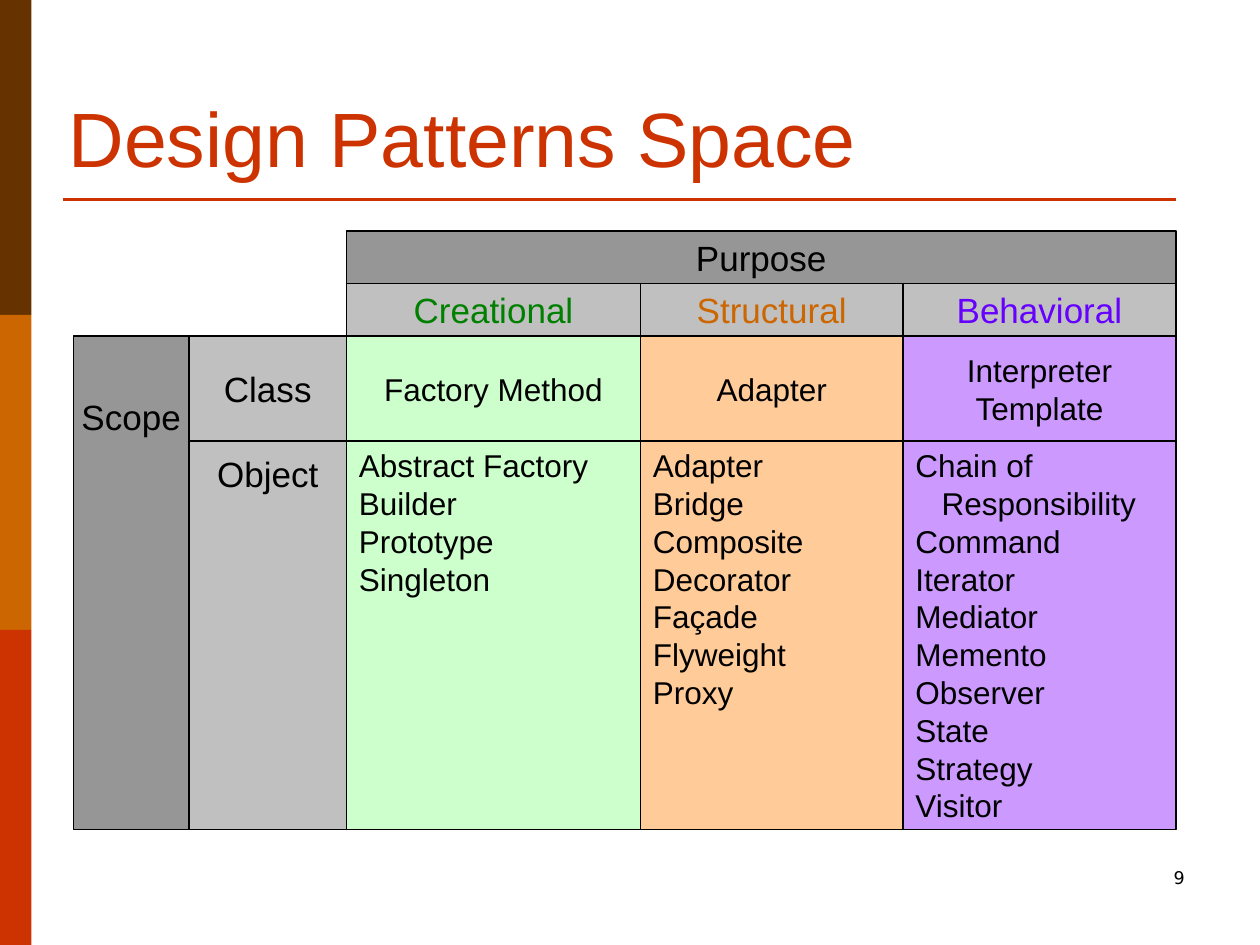
from dataclasses import dataclass
from pptx import Presentation
from pptx.dml.color import RGBColor
from pptx.enum.shapes import MSO_CONNECTOR, MSO_SHAPE
from pptx.enum.text import MSO_ANCHOR, MSO_AUTO_SIZE, PP_ALIGN
from pptx.oxml.ns import qn
from pptx.util import Pt
from lxml.etree import SubElement


@dataclass(frozen=True)
class Theme:
    font: str = "Arial"
    number_font: str = "DejaVu Sans"
    title_size: float = 44
    heading_size: float = 20
    pattern_size: float = 18
    number_size: float = 10
    leading: float = 1.2
    ink: str = "000000"
    brown: str = "663300"
    orange: str = "CC6600"
    red: str = "CC3300"
    dark_gray: str = "969696"
    gray: str = "C0C0C0"
    green: str = "008000"
    violet: str = "6600FF"
    pale_green: str = "CCFFCC"
    pale_orange: str = "FFCC99"
    pale_violet: str = "CC99FF"


class SlideBuilder:
    def __init__(self, slide, theme):
        self.slide = slide
        self.theme = theme

    def set_text(self, frame, lines, size, color, align, font=None):
        frame.text = "\n".join(lines)
        for paragraph in frame.paragraphs:
            paragraph.alignment = align
            paragraph.font.name = font or self.theme.font
            paragraph.font.size = Pt(size)
            paragraph.font.color.rgb = RGBColor.from_string(color)

    def title(self, text, left, top, width, height):
        title = self.slide.shapes.title
        title.left, title.top = Pt(left), Pt(top)
        title.width, title.height = Pt(width), Pt(height)
        frame = title.text_frame
        frame.auto_size = MSO_AUTO_SIZE.NONE
        frame.vertical_anchor = MSO_ANCHOR.BOTTOM
        self.set_text(frame, [text], self.theme.title_size, self.theme.red, PP_ALIGN.LEFT)

    def page_number(self, text, left, top, width, height):
        box = self.slide.shapes.add_textbox(Pt(left), Pt(top), Pt(width), Pt(height))
        box.text_frame.word_wrap = True
        self.set_text(box.text_frame, [text], self.theme.number_size, self.theme.ink,
                      PP_ALIGN.RIGHT, self.theme.number_font)

    def rule(self, left, right, y):
        rule = self.slide.shapes.add_connector(
            MSO_CONNECTOR.STRAIGHT, Pt(left), Pt(y), Pt(right), Pt(y))
        rule.line.color.rgb = RGBColor.from_string(self.theme.red)
        rule.line.width = Pt(1.5)
        SubElement(rule._element.spPr, qn("a:effectLst"))

    def block(self, left, top, right, bottom, fill):
        block = self.slide.shapes.add_shape(
            MSO_SHAPE.RECTANGLE, Pt(left), Pt(top), Pt(right - left), Pt(bottom - top))
        block.shadow.inherit = False
        block.fill.solid()
        block.fill.fore_color.rgb = RGBColor.from_string(fill)
        block.line.fill.background()
        return block

    def cell(self, bounds, fill):
        cell = self.block(*bounds, fill)
        cell.line.color.rgb = RGBColor.from_string(self.theme.ink)
        cell.line.width = Pt(0.75)
        return cell

    def heading(self, bounds, text, fill, color=None, drop=None):
        """Centred label; drop is its distance from the cell's top edge."""
        frame = self.cell(bounds, fill).text_frame
        frame.word_wrap = False
        frame.vertical_anchor = MSO_ANCHOR.MIDDLE
        if drop is not None:
            frame.vertical_anchor = MSO_ANCHOR.TOP
            frame.margin_top = Pt(drop)
        self.set_text(frame, [text], self.theme.heading_size, color or self.theme.ink,
                      PP_ALIGN.CENTER)

    def patterns(self, bounds, names, fill, align, anchor, continued=()):
        """List of pattern names; lines in continued are indented."""
        frame = self.cell(bounds, fill).text_frame
        frame.word_wrap = True
        frame.vertical_anchor = anchor
        frame.margin_top = frame.margin_bottom = Pt(3)
        self.set_text(frame, names, self.theme.pattern_size, self.theme.ink, align)
        for paragraph in frame.paragraphs:
            paragraph.line_spacing = Pt(self.theme.pattern_size * self.theme.leading)
            if paragraph.text in continued:
                paragraph._p.get_or_add_pPr().set("marL", str(Pt(15)))


def main():
    theme = Theme()
    deck = Presentation()
    deck.slide_width, deck.slide_height = Pt(720), Pt(540)
    builder = SlideBuilder(deck.slides.add_slide(deck.slide_layouts[5]), theme)

    for index, color in enumerate((theme.brown, theme.orange, theme.red)):
        builder.block(0, 180 * index, 18, 180 * (index + 1), color)
    builder.rule(36, 672, 114)
    builder.title("Design Patterns Space", 32, 18, 612, 90)
    builder.page_number("9", 516, 492, 168, 36)

    columns = (42, 108, 198, 366, 516, 672)
    rows = (132, 162, 192, 252, 474)

    def span(column, row, across=1, down=1):
        return columns[column], rows[row], columns[column + across], rows[row + down]

    purposes = (
        ("Creational", theme.green, theme.pale_green, ["Factory Method"],
         ["Abstract Factory", "Builder", "Prototype", "Singleton"]),
        ("Structural", theme.orange, theme.pale_orange, ["Adapter"],
         ["Adapter", "Bridge", "Composite", "Decorator", "Façade", "Flyweight", "Proxy"]),
        ("Behavioral", theme.violet, theme.pale_violet, ["Interpreter", "Template"],
         ["Chain of", "Responsibility", "Command", "Iterator", "Mediator", "Memento",
          "Observer", "State", "Strategy", "Visitor"]),
    )
    for column, (purpose, color, fill, class_names, object_names) in enumerate(purposes, 2):
        builder.patterns(span(column, 3), object_names, fill, PP_ALIGN.LEFT,
                         MSO_ANCHOR.TOP, continued=("Responsibility",))
        builder.patterns(span(column, 2), class_names, fill, PP_ALIGN.CENTER,
                         MSO_ANCHOR.MIDDLE)
        builder.heading(span(column, 1), purpose, theme.gray, color)
    builder.heading(span(1, 3), "Object", theme.gray, drop=6.5)
    builder.heading(span(1, 2), "Class", theme.gray)
    builder.heading(span(0, 2, down=2), "Scope", theme.dark_gray, drop=34)
    builder.heading(span(2, 0, across=3), "Purpose", theme.dark_gray)

    deck.save("out.pptx")


if __name__ == "__main__":
    main()
